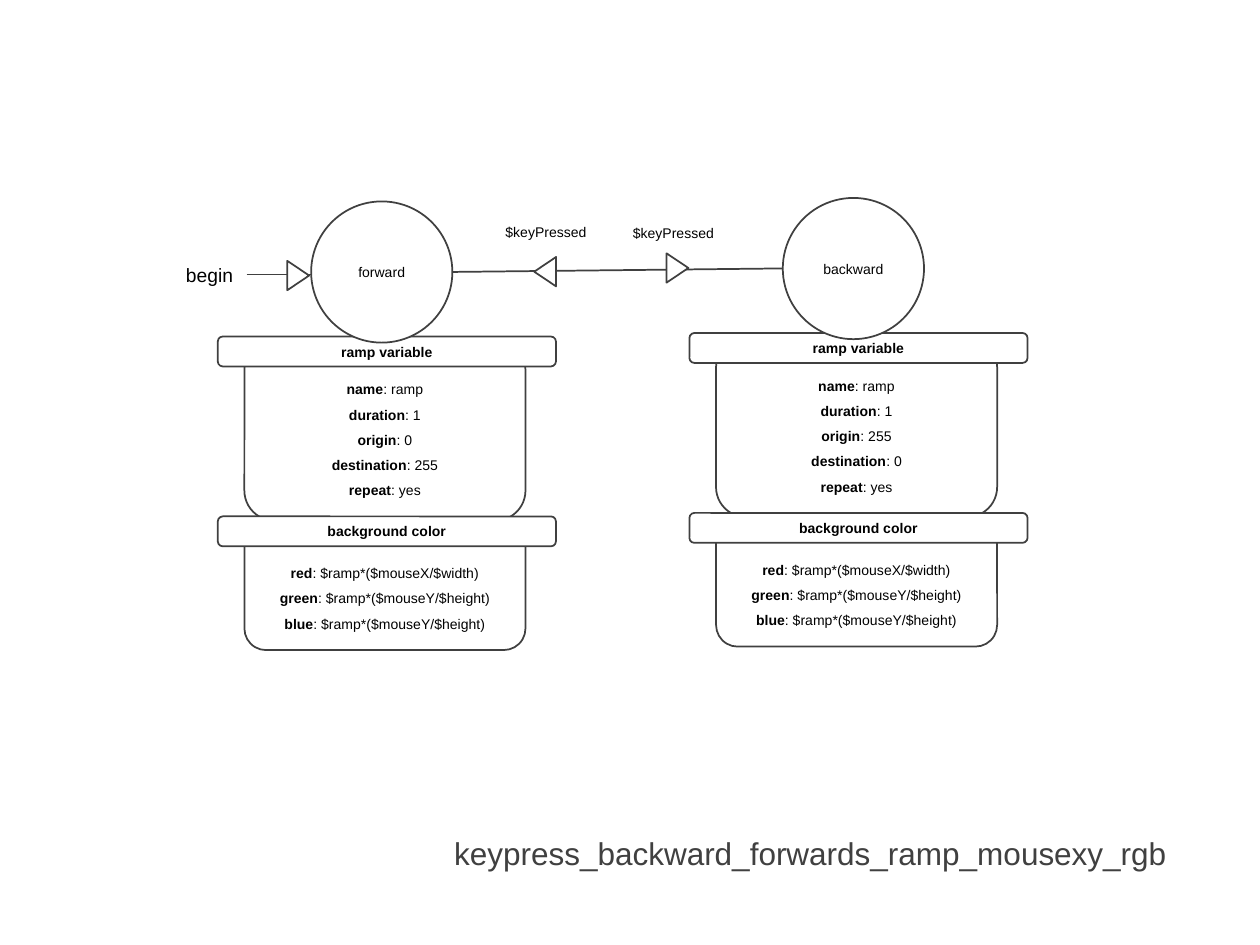
from pptx import Presentation
from pptx.dml.color import RGBColor
from pptx.enum.shapes import MSO_CONNECTOR, MSO_SHAPE
from pptx.enum.text import MSO_ANCHOR, MSO_AUTO_SIZE, PP_ALIGN
from pptx.oxml.ns import qn
from pptx.util import Pt
from lxml import etree

ROUND, OVAL, TRI = MSO_SHAPE.ROUNDED_RECTANGLE, MSO_SHAPE.OVAL, MSO_SHAPE.ISOSCELES_TRIANGLE
STRAIGHT = MSO_CONNECTOR.STRAIGHT
LEFT, MID, RIGHT = PP_ALIGN.LEFT, PP_ALIGN.CENTER, PP_ALIGN.RIGHT
TOP, MIDDLE = MSO_ANCHOR.TOP, MSO_ANCHOR.MIDDLE
FIXED = MSO_AUTO_SIZE.NONE

THEME = {
    "font": "Arial",
    "ink": RGBColor(0x00, 0x00, 0x00),
    "line": RGBColor(0x40, 0x40, 0x40),
    "fill": RGBColor(0xFF, 0xFF, 0xFF),
    "small": 8, "start": 11, "title": 18,
}

TITLE = "keypress_backward_forwards_ramp_mousexy_rgb"
COLORS = [("red", "$ramp*($mouseX/$width)"),
          ("green", "$ramp*($mouseY/$height)"),
          ("blue", "$ramp*($mouseY/$height)")]


def ramp(origin, goal):
    return [("name", "ramp"), ("duration", "1"), ("origin", origin),
            ("destination", goal), ("repeat", "yes")]


# state name, left and top of its circle, ramp settings
STATES = [("forward", 177.8, 115.1, ramp("0", "255")),
          ("backward", 447.3, 113.1, ramp("255", "0"))]
# heading, drop of bar below circle top, body height, text drop below bar
CARDS = [("ramp variable", 77.2, 103, 17.1),
         ("background color", 180, 74.2, 19.3)]
# label, left, top, width
LABELS = [("$keyPressed", 255.6, 119.6, 113), ("$keyPressed", 338.4, 120, 92.9)]
# left, top, rotation of each arrow triangle
ARROWS = [(162, 151.2, 90), (378.7, 146.9, 90), (303.1, 149, 270)]
LINES = [(141, 156.9, 177.8, 156.9), (258.5, 155.4, 447.3, 153.4)]
DISC, BODY, BAR, BAR_H = 80.7, 160.6, 193.2, 17.1


def style(font, size, color, bold=False):
    font.name, font.size, font.bold = THEME["font"], Pt(size), bold
    font.color.rgb = color


def draw(slide, kind, x, y, w, h, text="", bold=False, turn=0):
    shape = slide.shapes.add_shape(kind, Pt(x), Pt(y), Pt(w), Pt(h))
    shape.shadow.inherit = False
    shape.rotation = turn
    shape.fill.solid()
    shape.fill.fore_color.rgb = THEME["fill"]
    shape.line.color.rgb = THEME["line"]
    shape.line.width = Pt(1)
    if text:
        frame = shape.text_frame
        frame.text = text
        frame.vertical_anchor = MIDDLE
        para = frame.paragraphs[0]
        para.alignment = MID
        style(para.runs[0].font, THEME["small"], THEME["ink"], bold)


def write(slide, rows, x, y, w, h, size=THEME["small"], align=MID, gap=1.5):
    """Place text; each row is a list of (text, bold) runs."""
    frame = slide.shapes.add_textbox(Pt(x), Pt(y), Pt(w), Pt(h)).text_frame
    frame.word_wrap = True
    for i, row in enumerate(rows):
        para = frame.add_paragraph() if i else frame.paragraphs[0]
        para.alignment, para.line_spacing = align, gap
        for text, bold in row:
            run = para.add_run()
            run.text = text
            style(run.font, size, THEME["ink"], bold)


def join(slide, x1, y1, x2, y2):
    link = slide.shapes.add_connector(STRAIGHT, Pt(x1), Pt(y1), Pt(x2), Pt(y2))
    link.line.color.rgb = THEME["line"]
    link.line.width = Pt(1)
    etree.SubElement(link._element.spPr, qn("a:effectLst"))


def state(slide, name, x, y, values):
    """Draw one state: its cards, then the circle on top of them."""
    left = x - 38.1
    for (head, drop, high, inset), pairs in zip(CARDS, (values, COLORS)):
        top = y + drop
        draw(slide, ROUND, left, top + 2.2, BODY, high)
        draw(slide, ROUND, left + (BODY - BAR) / 2 + 1.1, top, BAR, BAR_H, head, True)
        rows = [[(key, True), (": " + value, False)] for key, value in pairs]
        write(slide, rows, left + 0.7, top + inset, BODY - 1.5, 7.2 + 14.4 * len(rows))
    draw(slide, OVAL, x, y, DISC, DISC, name)


def title(slide):
    box = slide.shapes.title
    box.left, box.top, box.width, box.height = Pt(235.4), Pt(462.2), Pt(438.5), Pt(38.2)
    frame = box.text_frame
    frame.text = TITLE
    frame.word_wrap, frame.auto_size, frame.vertical_anchor = True, FIXED, TOP
    para = frame.paragraphs[0]
    para.alignment, para.line_spacing = RIGHT, 1.5
    style(para.runs[0].font, THEME["title"], THEME["line"])


def main():
    deck = Presentation()
    deck.slide_width, deck.slide_height = Pt(720), Pt(540)
    slide = deck.slides.add_slide(deck.slide_layouts[5])
    title(slide)
    for item in STATES:
        state(slide, *item)
    for ends in LINES:
        join(slide, *ends)
    for x, y, turn in ARROWS:
        draw(slide, TRI, x, y, 16.8, 12.5, turn=turn)
    for text, x, y, w in LABELS:
        write(slide, [[(text, False)]], x, y, w, 21)
    write(slide, [[("begin", False)]], 99.2, 146.9, 45, 20.6, THEME["start"], LEFT, 1)
    deck.save("out.pptx")


if __name__ == "__main__":
    main()
